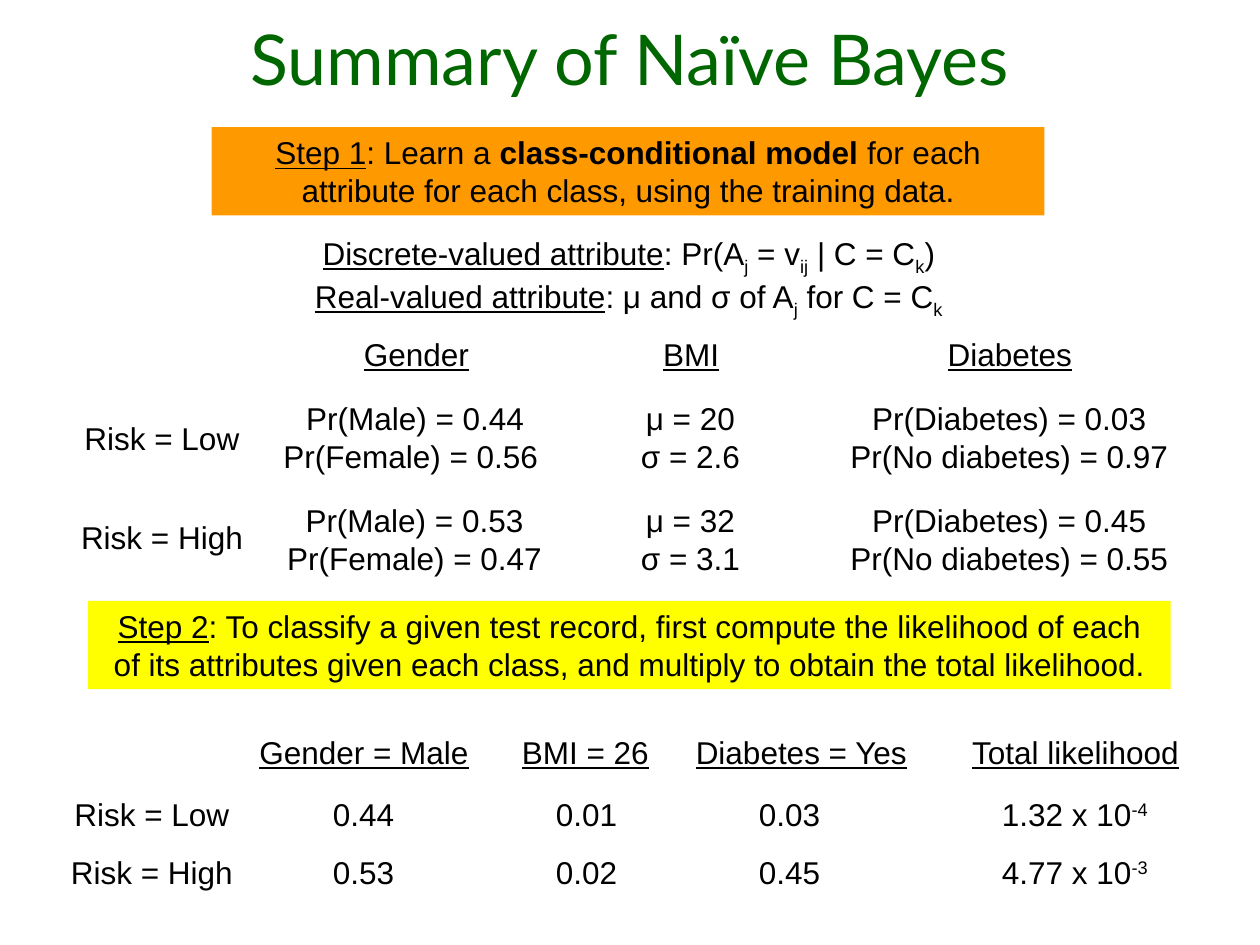
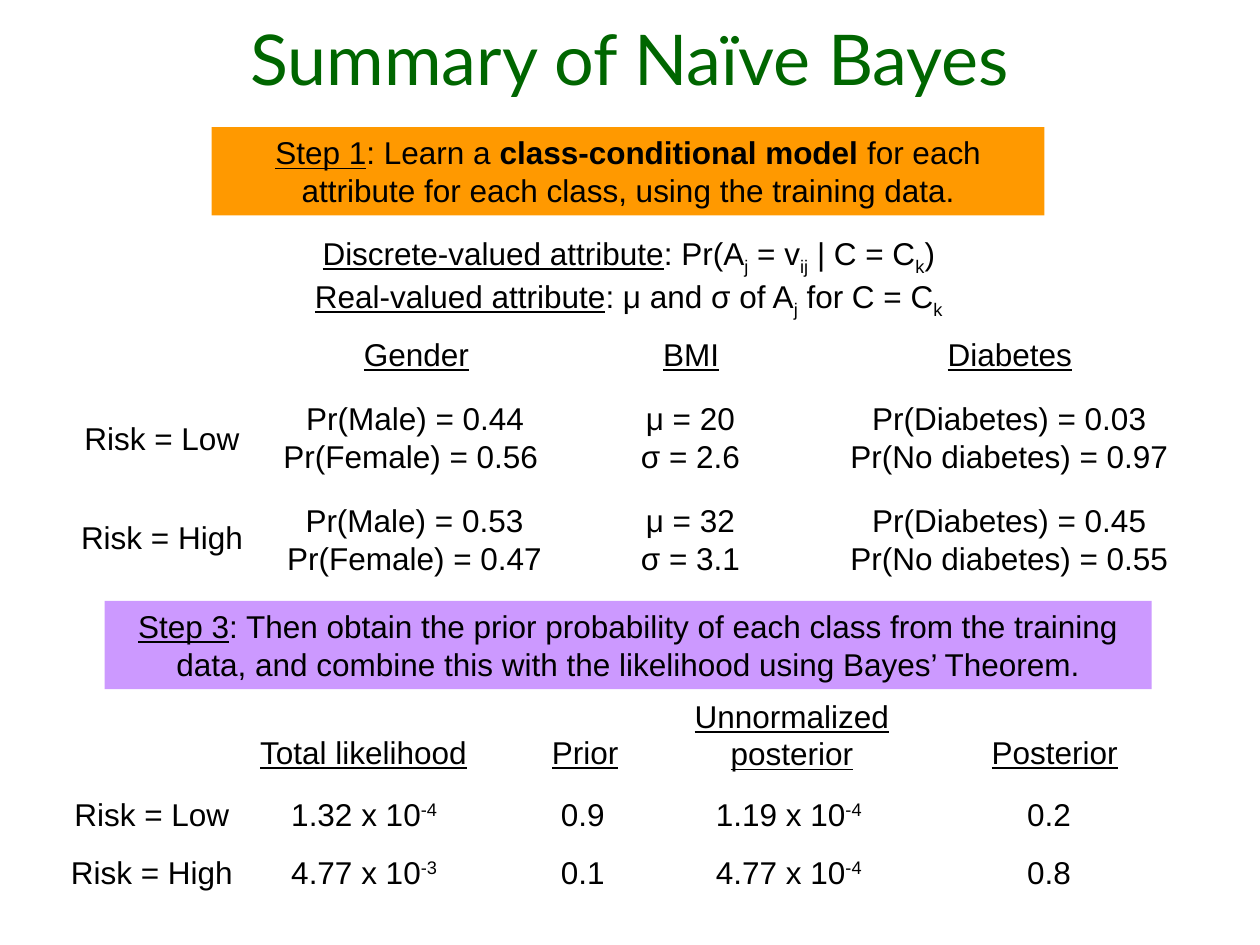
"""Build two slides that sum up the steps of Naïve Bayes."""
import pptx
import pptx.dml.color
import pptx.enum.shapes
import pptx.enum.text
import pptx.util

COLS, ROWS = 100, 75
STEP, HEAD, LOW, HIGH = 47.7, 57.7, 62.6, 67.2
AUTO = pptx.enum.text.MSO_AUTO_SIZE
BASE = {"sub": "-25000", "sup": "30000"}


def hue(code):
    return pptx.dml.color.RGBColor.from_string(code)


def power(base, sign):
    return [(base + " x 10",), (sign, "sup")]


class Deck:
    def __init__(self):
        self.show = pptx.Presentation()
        self.show.slide_width = pptx.util.Inches(10)
        self.show.slide_height = pptx.util.Inches(7.5)
        self.slide = None

    def place(self, left, top, wide, high):
        x = self.show.slide_width / COLS
        y = self.show.slide_height / ROWS
        return [round(n) for n in (left * x, top * y, wide * x, high * y)]

    def run(self, para, text, style="", face="Arial", size=18, ink="000000"):
        run = para.add_run()
        run.text = text
        font = run.font
        font.name, font.size = face, pptx.util.Pt(size)
        font.color.rgb = hue(ink)
        font.bold = style == "bold"
        font.underline = style == "line"
        if style in BASE:
            font._element.set("baseline", BASE[style])

    def fill(self, frame, lines, wrap):
        frame.word_wrap = wrap
        frame.auto_size = AUTO.SHAPE_TO_FIT_TEXT
        for i, line in enumerate(lines):
            para = frame.add_paragraph() if i else frame.paragraphs[0]
            para.alignment = pptx.enum.text.PP_ALIGN.CENTER
            for part in [(line,)] if isinstance(line, str) else line:
                self.run(para, *part)

    def title(self, text):
        self.slide = self.show.slides.add_slide(self.show.slide_layouts[5])
        head = self.slide.shapes.title
        head.left, head.top, head.width, head.height = self.place(5, 0.8, 90, 7.6)
        frame = head.text_frame
        frame.auto_size = AUTO.NONE
        frame.vertical_anchor = pptx.enum.text.MSO_ANCHOR.BOTTOM
        para = frame.paragraphs[0]
        para.alignment = pptx.enum.text.PP_ALIGN.CENTER
        self.run(para, text, face="Lato", size=40, ink="006600")

    def band(self, left, top, wide, color, *parts):
        kind = pptx.enum.shapes.MSO_SHAPE.RECTANGLE
        box = self.slide.shapes.add_shape(kind, *self.place(left, top, wide, 7))
        box.shadow.inherit = False
        box.fill.solid()
        box.fill.fore_color.rgb = hue(color)
        box.line.fill.background()
        self.fill(box.text_frame, [parts], True)

    def note(self, left, top, wide, *lines, high=None, wrap=False):
        high = high or 1 + 3 * len(lines)
        box = self.slide.shapes.add_textbox(*self.place(left, top, wide, high))
        self.fill(box.text_frame, lines, wrap)

    def row(self, top, *cells):
        for left, wide, *lines in cells:
            self.note(left, top, wide, *lines)

    def heads(self, top, *cells):
        self.row(top, *[(left, wide, [(text, "line")]) for left, wide, text in cells])

    def risks(self, left, low, high):
        self.note(left, low, 14.3, "Risk = Low")
        self.note(left - 0.3, high, 14.9, "Risk = High")

    def model(self):
        self.title("Summary of Naïve Bayes")
        self.band(16.8, 10.1, 66.1, "FF9900", ("Step 1", "line"), (": Learn a ",),
                  ("class-conditional model", "bold"),
                  (" for each attribute for each class, using the training data.",))
        self.note(23.8, 18.1, 52.2,
                  [("Discrete-valued attribute", "line"), (": Pr(A",), ("j", "sub"),
                   (" = v",), ("ij", "sub"), (" | C = C",), ("k", "sub"), (")",)],
                  [("Real-valued attribute", "line"), (": μ and σ of A",),
                   ("j", "sub"), (" for C = C",), ("k", "sub")])
        self.heads(26.1, (27.7, 10.7, "Gender"), (51.5, 6.7, "BMI"),
                   (74.1, 12.1, "Diabetes"))
        self.risks(5.7, 32.8, 40.6)
        self.row(31.2, (21.5, 22.9, "Pr(Male) = 0.44", "Pr(Female) = 0.56 "),
                 (49.6, 10.4, "μ = 20", "σ = 2.6"),
                 (66.4, 27.4, "Pr(Diabetes) = 0.03", "Pr(No diabetes) = 0.97"))
        self.row(39.3, (21.7, 22.4, "Pr(Male) = 0.53", "Pr(Female) = 0.47"),
                 (49.6, 10.4, "μ = 32", "σ = 3.1"),
                 (66.4, 27.4, "Pr(Diabetes) = 0.45", "Pr(No diabetes) = 0.55"))
        self.risks(4.9, LOW, HIGH)


def main():
    deck = Deck()

    deck.model()
    deck.band(7, STEP, 85.9, "FFFF00", ("Step 2", "line"),
              (": To classify a given test record, first compute the likelihood of each "
               "of its attributes given each class, and multiply to obtain the total "
               "likelihood.",))
    deck.heads(HEAD, (19.6, 18.6, "Gender = Male"), (40.4, 12.1, "BMI = 26"),
               (54.1, 19, "Diabetes = Yes"), (76, 18.7, "Total likelihood"))
    for top, male, bmi, sick, total in (
            (LOW, "0.44", "0.01", "0.03", power("1.32", "-4")),
            (HIGH, "0.53", "0.02", "0.45", power("4.77", "-3"))):
        deck.row(top, (25.4, 6.9, male), (43.1, 6.9, bmi), (59.2, 6.9, sick),
                 (78.4, 13.8, total))

    deck.model()
    deck.band(8.3, STEP, 83.1, "CC99FF", ("Step 3", "line"),
              (": Then obtain the prior probability of each class from the training "
               "data, and combine this with the likelihood using Bayes’ Theorem.",))
    deck.heads(HEAD, (19.5, 18.7, "Total likelihood"), (42.8, 7.3, "Prior"),
               (77.7, 12, "Posterior"))
    deck.note(53.6, 54.8, 18.5, [("Unnormalized posterior", "line")], high=7, wrap=True)
    for top, total, prior, raw, wide, post in (
            (LOW, power("1.32", "-4"), "0.9", power("1.19", "-4"), 6.2, "0.2 "),
            (HIGH, power("4.77", "-3"), "0.1", power("4.77", "-4"), 5.5, "0.8")):
        deck.row(top, (22, 13.8, total), (43.5, 5.5, prior), (55.7, 13.8, raw),
                 (80.5, wide, post))

    deck.show.save("out.pptx")


if __name__ == "__main__":
    main()
